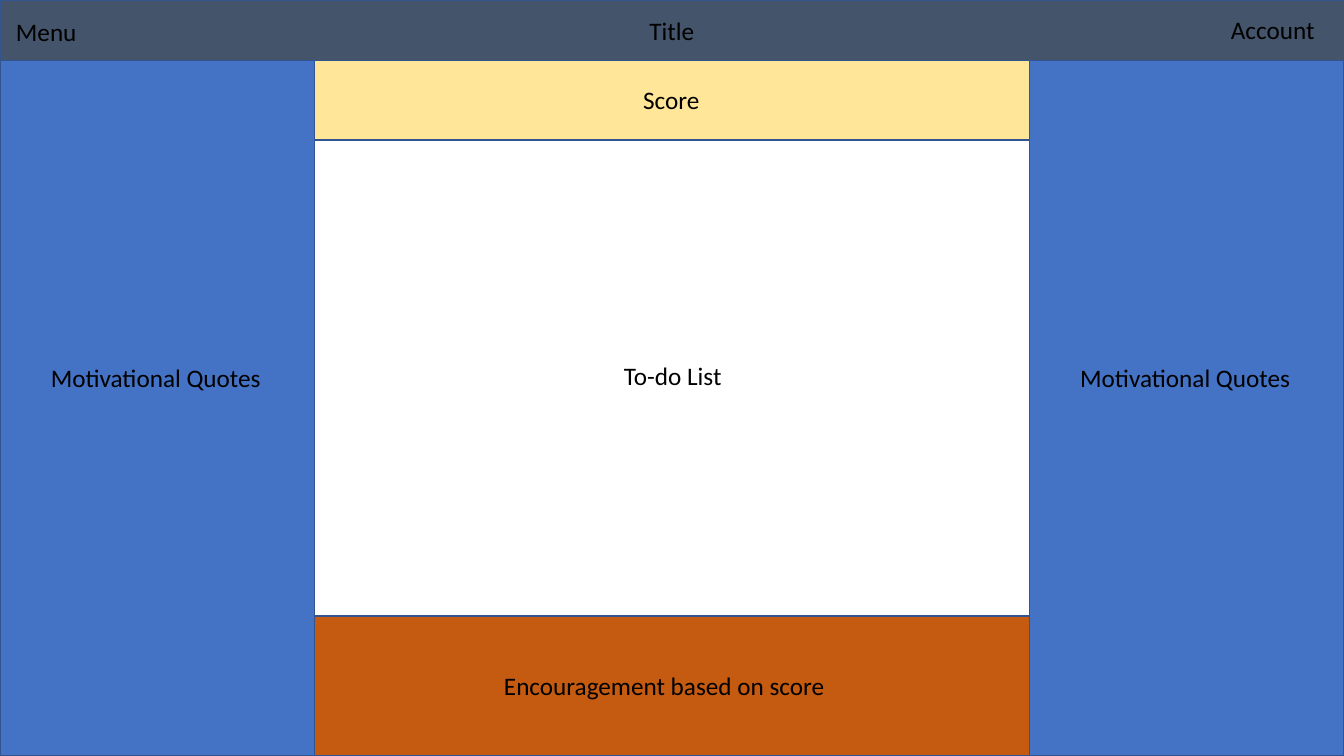
from pptx import Presentation
from pptx import util as u
from pptx.dml import color
from pptx.enum import shapes, text

COLORS = {
    "side": "4472C4",
    "header": "44546A",
    "score": "FFE699",
    "encouragement": "C55A11",
    "outline": "325491",
    "text": "000000",
}
WIDTH, HEIGHT = 13.33, 7.5
HEADER_HEIGHT, SIDE_WIDTH = 0.6, 3.12
SCORE_HEIGHT, ENCOURAGEMENT_HEIGHT = 0.79, 1.39
LABEL_HEIGHT = 0.4

center_width = WIDTH - 2 * SIDE_WIDTH
right_side = WIDTH - SIDE_WIDTH
side_height = HEIGHT - HEADER_HEIGHT
encouragement_top = HEIGHT - ENCOURAGEMENT_HEIGHT
quotes_width = 2.31
quotes_inset = (SIDE_WIDTH - quotes_width) / 2

PANELS = [
    ("side", 0, HEADER_HEIGHT, SIDE_WIDTH, side_height),
    ("side", right_side, HEADER_HEIGHT, SIDE_WIDTH, side_height),
    ("header", 0, 0, WIDTH, HEADER_HEIGHT),
    ("score", SIDE_WIDTH, HEADER_HEIGHT, center_width, SCORE_HEIGHT),
    ("encouragement", SIDE_WIDTH, encouragement_top, center_width, ENCOURAGEMENT_HEIGHT),
]
PAGE_TITLE = ("Title", 6.34, 0.1, 0.65)
LABELS = [
    ("Menu", 0.06, 0.11, 0.81),
    ("Account", 12.11, 0.09, 1.04),
    ("Score", 6.28, 0.79, 0.77),
    ("Motivational Quotes", quotes_inset, 3.55, quotes_width),
    ("Motivational Quotes", right_side + quotes_inset, 3.55, quotes_width),
    ("Encouragement based on score", 4.9, 6.6, 3.42),
]
TODO_LABEL = ("To-do List", 6.09, 3.53, 6.56)


def add_panel(slide, fill, *bounds):
    shape = slide.shapes.add_shape(
        shapes.MSO_SHAPE.RECTANGLE, *(u.Inches(value) for value in bounds))
    shape.shadow.inherit = False
    shape.fill.solid()
    shape.fill.fore_color.rgb = color.RGBColor.from_string(COLORS[fill])
    shape.line.color.rgb = color.RGBColor.from_string(COLORS["outline"])
    shape.line.width = u.Pt(1)


def write_text(shape, content, size=18, font="Calibri", fill="text", wrap=False):
    frame = shape.text_frame
    frame.text = content
    frame.word_wrap = wrap
    frame.auto_size = text.MSO_AUTO_SIZE.SHAPE_TO_FIT_TEXT
    frame.vertical_anchor = text.MSO_ANCHOR.TOP
    paragraph = frame.paragraphs[0]
    paragraph.alignment = text.PP_ALIGN.LEFT
    run_font = paragraph.runs[0].font
    run_font.size = u.Pt(size)
    run_font.name = font
    run_font.color.rgb = color.RGBColor.from_string(COLORS[fill])


def add_label(slide, content, left, top, width, **style):
    shape = slide.shapes.add_textbox(
        u.Inches(left), u.Inches(top), u.Inches(width), u.Inches(LABEL_HEIGHT))
    write_text(shape, content, **style)


def place_title(slide, content, left, top, width):
    title = slide.shapes.title
    title.left, title.top = u.Inches(left), u.Inches(top)
    title.width, title.height = u.Inches(width), u.Inches(LABEL_HEIGHT)
    write_text(title, content)
    title.element.getparent().append(title.element)


def main():
    presentation = Presentation()
    presentation.slide_width = u.Inches(WIDTH)
    presentation.slide_height = u.Inches(HEIGHT)
    slide = presentation.slides.add_slide(presentation.slide_layouts[5])
    for panel in PANELS:
        add_panel(slide, *panel)
    place_title(slide, *PAGE_TITLE)
    for label in LABELS:
        add_label(slide, *label)
    add_label(slide, *TODO_LABEL, wrap=True)
    presentation.save("out.pptx")


if __name__ == "__main__":
    main()
